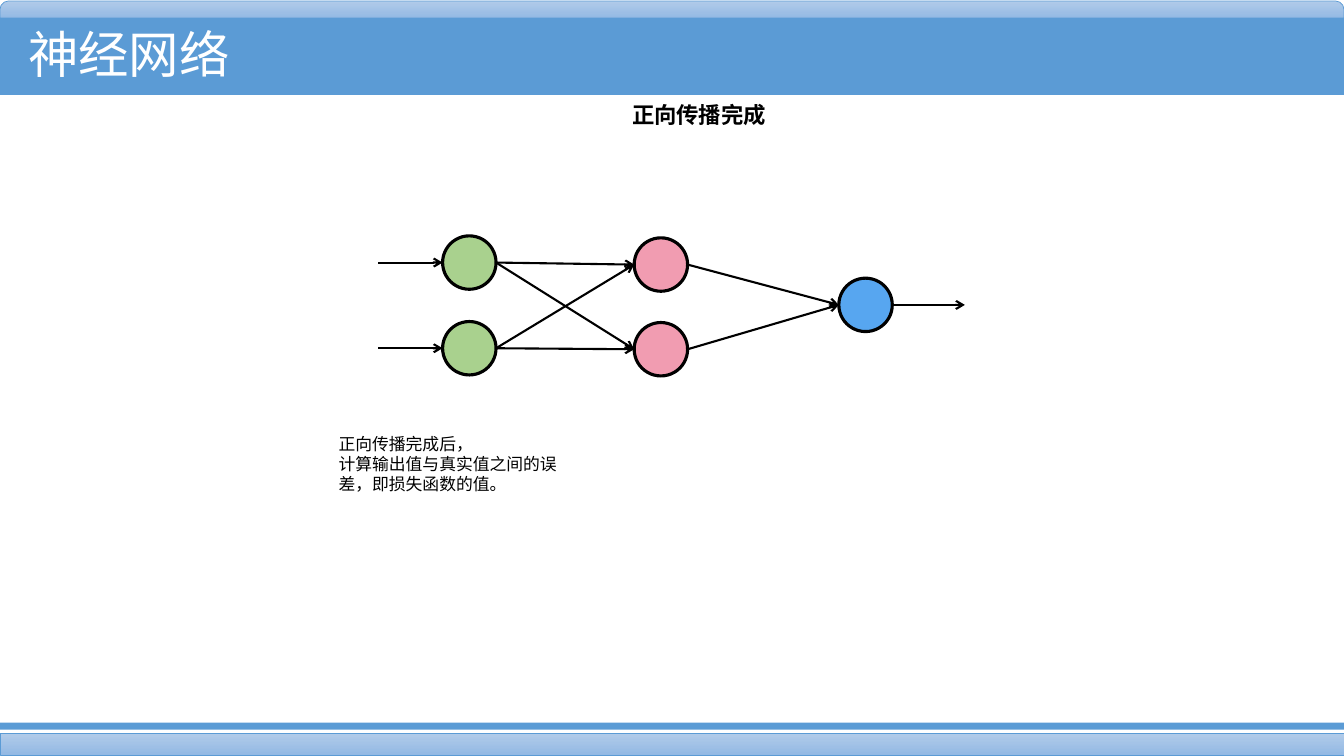
from itertools import product

from pptx import Presentation
from pptx.dml.color import RGBColor
from pptx.enum.shapes import MSO_CONNECTOR, MSO_SHAPE
from pptx.enum.text import MSO_AUTO_SIZE
from pptx.oxml.ns import qn
from pptx.util import Inches, Pt
from lxml.etree import SubElement

FONT = "Noto Sans CJK SC"
BLUE = "5B9BD5"
BLACK = "000000"
SLIDE_WIDTH = 13.33
NODE_SIZE = 0.53

rgb = RGBColor.from_string

presentation = Presentation()
presentation.slide_width = Inches(SLIDE_WIDTH)
presentation.slide_height = Inches(7.5)
slide = presentation.slides.add_slide(presentation.slide_layouts[6])


def add_figure(kind, left, top, width, height, fill, line=None, line_width=0):
    """Add a shape; a pair of fill colours gives a top-to-bottom gradient."""
    figure = slide.shapes.add_shape(
        kind, Inches(left), Inches(top), Inches(width), Inches(height))
    figure.shadow.inherit = False
    if isinstance(fill, tuple):
        figure.fill.gradient()
        figure.fill.gradient_angle = 270
        for stop, position, color in zip(figure.fill.gradient_stops, (0, 1), fill):
            stop.position = position
            stop.color.rgb = rgb(color)
    else:
        figure.fill.solid()
        figure.fill.fore_color.rgb = rgb(fill)
    if line:
        figure.line.color.rgb = rgb(line)
        figure.line.width = Pt(line_width)
    else:
        figure.line.fill.background()
    return figure


# Header and footer bands
pale_blue = ("B1CBE9", "93B9E4")
top_strip = add_figure(MSO_SHAPE.ROUND_2_SAME_RECTANGLE, 0, 0.01, SLIDE_WIDTH, 0.17,
                       pale_blue, BLUE, 0.5)
top_strip.adjustments[0] = 0.5
for top, height, fill, line in [
    (0.21, 0.73, pale_blue, BLUE),
    (0.18, 0.76, BLUE, None),
    (7.28, 0.21, pale_blue, BLUE),
    (7.17, 0.07, BLUE, None),
]:
    add_figure(MSO_SHAPE.RECTANGLE, 0, top, SLIDE_WIDTH, height, fill, line, 0.5)

# Neurons, layer by layer
layers = [
    (4.39, (2.34, 3.19), "A9D18E"),
    (6.29, (2.36, 3.2), "F19CB1"),
    (8.32, (2.76,), "57A6F0"),
]
layer_ports = []
for left, tops, color in layers:
    for top in tops:
        add_figure(MSO_SHAPE.OVAL, left, top, NODE_SIZE, NODE_SIZE, color, BLACK, 2.25)
    layer_ports.append([(left, top + NODE_SIZE / 2) for top in tops])

# Signals: into the first layer, between full layers, out of the last
inputs, hidden, outputs = layer_ports
signals = [((3.75, y), (x, y)) for x, y in inputs]
for sources, targets in ((inputs, hidden), (hidden, outputs)):
    signals += [((x + NODE_SIZE, y), target)
                for (x, y), target in product(sources, targets)]
signals += [((x + NODE_SIZE, y), (9.57, y)) for x, y in outputs]

for start, end in signals:
    signal = slide.shapes.add_connector(
        MSO_CONNECTOR.STRAIGHT, *(Inches(value) for value in start + end))
    signal.line.color.rgb = rgb(BLACK)
    signal.line.width = Pt(1.5)
    SubElement(signal.line._get_or_add_ln(), qn("a:tailEnd"), type="arrow")
    SubElement(signal._element.spPr, qn("a:effectLst"))

# Title, heading and explanation
texts = [
    ((0.18, 0.18, 2.22, 0.71), False, ["神经网络"],
     {"size": Pt(36), "bold": False}, "FFFFFF"),
    ((6.17, 0.95, 1.55, 0.37), False, ["正向传播完成"],
     {"size": Pt(16), "bold": True}, BLACK),
    ((3.26, 4.25, 2.5, 0.71), True,
     ["正向传播完成后，", "计算输出值与真实值之间的误差，即损失函数的值。"],
     {"size": Pt(12), "bold": False}, BLACK),
]
for place, wraps, lines, font_format, color in texts:
    frame = slide.shapes.add_textbox(*(Inches(value) for value in place)).text_frame
    frame.word_wrap = wraps
    frame.auto_size = MSO_AUTO_SIZE.SHAPE_TO_FIT_TEXT
    frame.text = "\n".join(lines)
    for paragraph in frame.paragraphs:
        font = paragraph.runs[0].font
        for attribute, value in font_format.items():
            setattr(font, attribute, value)
        font.color.rgb = rgb(color)
        font.name = FONT
        SubElement(font._element, qn("a:ea"), typeface=FONT)

presentation.save("out.pptx")
